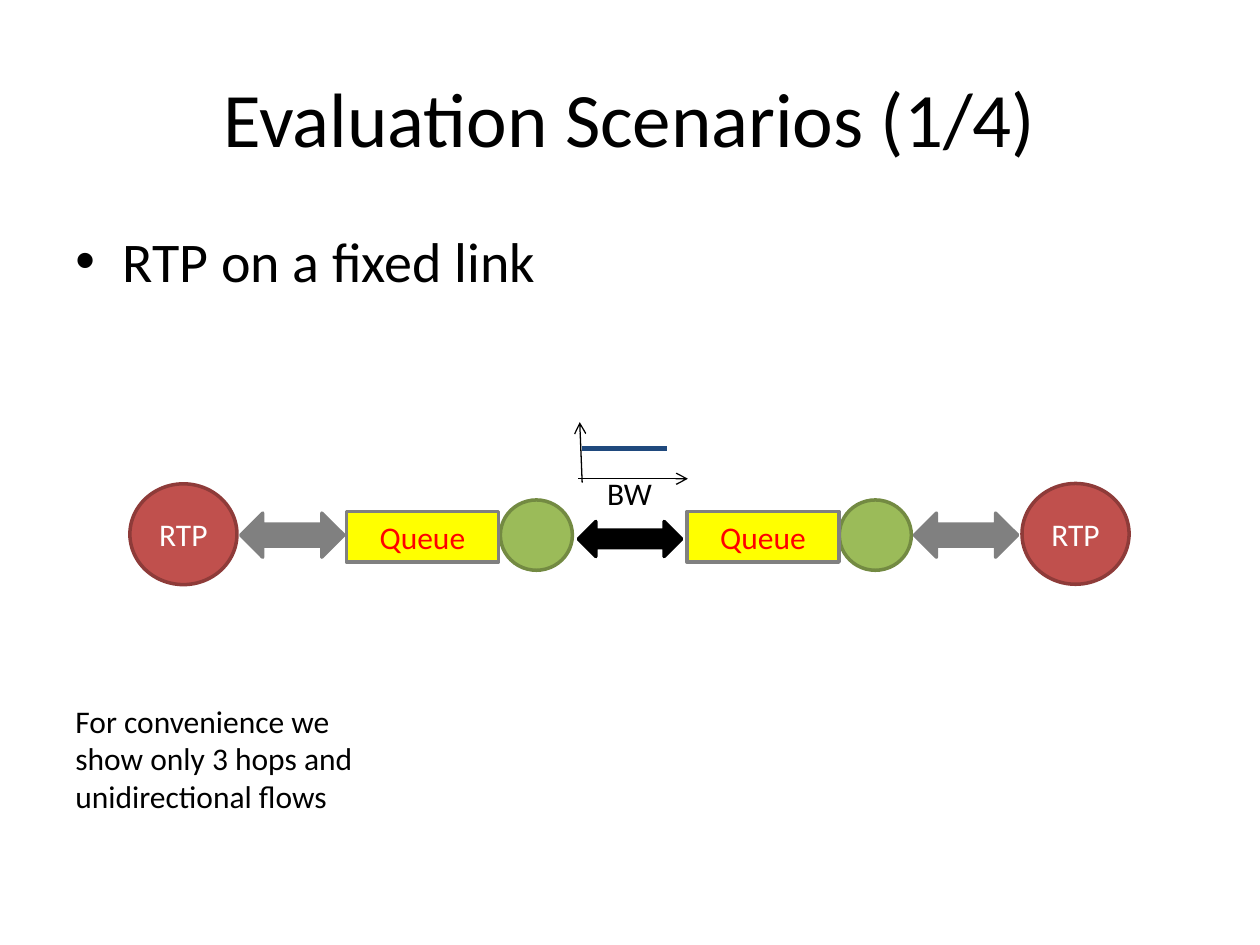
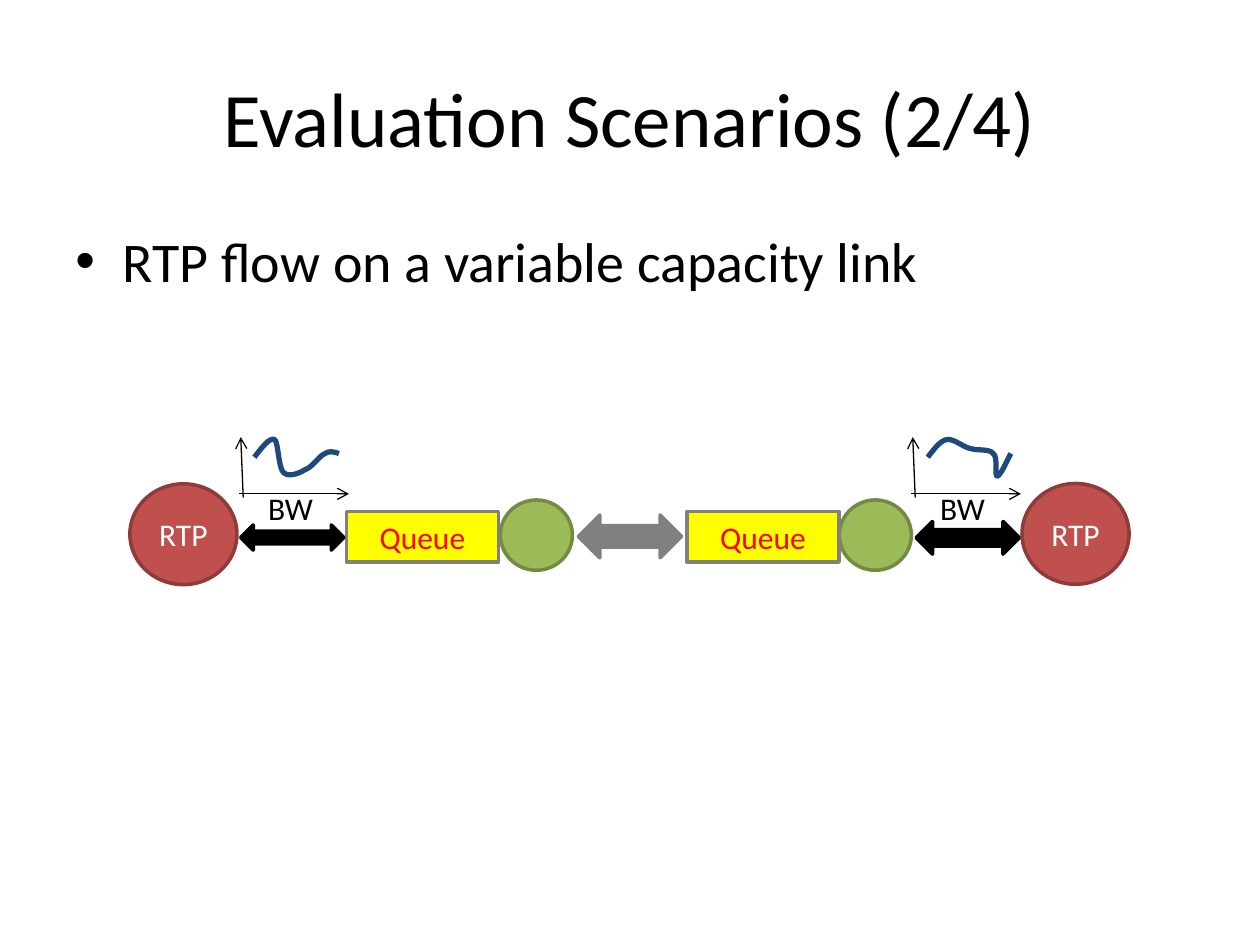
from dataclasses import dataclass

from lxml.etree import SubElement as Sub
from pptx import Presentation
from pptx.dml.color import RGBColor
from pptx.enum.shapes import MSO_CONNECTOR as Link, MSO_SHAPE as Kind
from pptx.enum.text import MSO_ANCHOR as Anchor, PP_ALIGN as Align
from pptx.oxml.ns import qn
from pptx.util import Pt

# Shared style
FONT = "Calibri"
BLACK, WHITE, GREY = "000000", "FFFFFF", "808080"
RED, BROWN, GREEN, OLIVE = "C0504D", "8E3B39", "9BBB59", "738A42"
YELLOW, ALERT, NAVY = "FFFF00", "FF0000", "1F497D"
STEPS = 10  # points drawn per curve segment

Point = tuple[float, float]


@dataclass
class Node:
    """A shape that appears at several places along the chain."""
    kind: Kind
    spots: list[Point]
    width: float
    height: float
    fill: str
    line: str
    label: str = ""
    ink: str = WHITE


@dataclass
class Arrow:
    left: float
    top: float
    height: float
    color: str


@dataclass
class Graph:
    """Bandwidth plot: its corner, and a trace relative to that corner.

    A trace is a start point followed by three points per Bezier segment;
    two points alone make a straight line.
    """
    left: float
    top: float
    trace: list[Point]


@dataclass
class Scene:
    title: str
    point: str
    arrows: list[Arrow]
    graphs: list[Graph]
    note: str = ""


NODES = [
    Node(Kind.OVAL, [(74.2, 276.5), (584, 276.3)], 61.2, 57.6, RED, BROWN, "RTP"),
    Node(Kind.OVAL, [(285.9, 285.7), (479.6, 285.7)], 41.2, 40.2, GREEN, OLIVE),
    Node(Kind.RECTANGLE, [(197.9, 292.4), (392.5, 292.4)], 87, 28.8,
         YELLOW, GREY, "Queue", ALERT),
]

FLAT = [(2, 15.2), (50.4, 15.2)]
DIP = [(8.6, 11.5), (13, 5.8), (17.3, 0), (20.2, 1.4),
       (22.3, 2.9), (22.3, 17.3), (25.2, 20.2),
       (28.1, 23), (33.8, 20.9), (37.4, 18.7),
       (41.8, 17.3), (45.4, 10.8), (49, 9.4),
       (51.8, 7.2), (56.9, 9.4), (56.9, 9.4)]
DROP = [(9.4, 11.5), (13.7, 5.8), (16.6, 2.2), (20.2, 1.4),
        (24.5, 0.7), (29.5, 5.8), (33.8, 6.5),
        (38.2, 7.9), (44.6, 6.5), (46.8, 9.4),
        (49.7, 11.5), (47.5, 22.3), (49, 22.3),
        (51.1, 22.3), (55.4, 11.5), (56.9, 9.4)]

SCENES = [
    Scene("Evaluation Scenarios (1/4)", "RTP on a fixed link",
          [Arrow(330.5, 298, 20, BLACK), Arrow(137.5, 293.2, 25.2, GREY),
           Arrow(522.5, 293.2, 25.2, GREY)],
          [Graph(330.5, 241.2, FLAT)],
          "For convenience we show only 3 hops and unidirectional flows"),
    Scene("Evaluation Scenarios (2/4)", "RTP flow on a variable capacity link",
          [Arrow(330.5, 294.3, 24.5, GREY), Arrow(137.5, 300, 14.4, BLACK),
           Arrow(523.5, 298, 18.7, BLACK)],
          [Graph(136.8, 249.8, DIP), Graph(520.8, 249.8, DROP)]),
]


def tint(code: str) -> RGBColor:
    return RGBColor.from_string(code)


def write(shape, text: str, *, size: float = 18, color: str = BLACK,
          align=Align.LEFT, anchor=Anchor.TOP, wrap: bool = True,
          bullet: bool = False) -> None:
    frame = shape.text_frame
    frame.word_wrap = wrap
    frame.vertical_anchor = anchor
    para = frame.paragraphs[0]
    para.alignment = align
    run = para.add_run()
    run.text = text
    run.font.name = FONT
    run.font.size = Pt(size)
    run.font.color.rgb = tint(color)
    if bullet:
        para.space_before = Pt(size * 0.2)
        props = para._p.get_or_add_pPr()
        props.set("marL", str(Pt(27)))
        props.set("indent", str(Pt(-27)))
        Sub(props, qn("a:buFont"), typeface="Arial")
        Sub(props, qn("a:buChar"), char="•")


def label(slide, text: str, left: float, top: float, width: float,
          height: float, **style) -> None:
    box = slide.shapes.add_textbox(Pt(left), Pt(top), Pt(width), Pt(height))
    write(box, text, **style)


def block(slide, kind: Kind, left: float, top: float, width: float,
          height: float, fill: str, line: str):
    shape = slide.shapes.add_shape(kind, Pt(left), Pt(top), Pt(width), Pt(height))
    shape.shadow.inherit = False
    shape.fill.solid()
    shape.fill.fore_color.rgb = tint(fill)
    shape.line.color.rgb = tint(line)
    shape.line.width = Pt(2)
    return shape


def stroke(slide, start: Point, end: Point, color: str, width: float,
           head: bool = False) -> None:
    link = slide.shapes.add_connector(
        Link.STRAIGHT, *(Pt(v) for v in (*start, *end)))
    link.line.color.rgb = tint(color)
    link.line.width = Pt(width)
    props = link.element.spPr
    if head:
        Sub(props.get_or_add_ln(), qn("a:tailEnd"), type="arrow")
    Sub(props, qn("a:effectLst"))


def bend(spots: list[Point]) -> list[Point]:
    """Points along a chain of cubic Bezier segments."""
    out = [spots[0]]
    for i in range(0, len(spots) - 1, 3):
        quad = spots[i:i + 4]
        for step in range(1, STEPS + 1):
            t = step / STEPS
            u = 1 - t
            mix = (u ** 3, 3 * u * u * t, 3 * u * t * t, t ** 3)
            out.append((sum(m * p[0] for m, p in zip(mix, quad)),
                        sum(m * p[1] for m, p in zip(mix, quad))))
    return out


def curve(slide, spots: list[Point]) -> None:
    first, *rest = [(Pt(x), Pt(y)) for x, y in bend(spots)]
    pen = slide.shapes.build_freeform(*first)
    pen.add_line_segments(rest, close=False)
    shape = pen.convert_to_shape()
    shape.shadow.inherit = False
    shape.fill.background()
    shape.line.color.rgb = tint(NAVY)
    shape.line.width = Pt(3)


def plot(slide, graph: Graph) -> None:
    def place(x: float, y: float) -> Point:
        return graph.left + x, graph.top + y

    stroke(slide, place(2.2, 34.6), place(0.8, 0), BLACK, 0.75, head=True)
    stroke(slide, place(0, 32.4), place(62.6, 32.4), BLACK, 0.75, head=True)
    spots = [place(*spot) for spot in graph.trace]
    if len(spots) == 2:
        stroke(slide, *spots, NAVY, 3)
    else:
        curve(slide, spots)
    label(slide, "BW", *place(9.4, 26.2), 41, 29, wrap=False)


def draw(slide, scene: Scene) -> None:
    # Heading and bullet
    label(slide, scene.title, 36, 21.6, 648, 90, size=44,
          align=Align.CENTER, anchor=Anchor.MIDDLE)
    label(slide, scene.point, 36, 126, 648, 356.4, size=32, bullet=True)
    # Chain of nodes
    for node in NODES:
        for left, top in node.spots:
            shape = block(slide, node.kind, left, top, node.width, node.height,
                          node.fill, node.line)
            if node.label:
                write(shape, node.label, color=node.ink, align=Align.CENTER,
                      anchor=Anchor.MIDDLE)
    # Links between nodes
    for arrow in scene.arrows:
        block(slide, Kind.LEFT_RIGHT_ARROW, arrow.left, arrow.top, 59,
              arrow.height, arrow.color, arrow.color)
    # Bandwidth plots and note
    for graph in scene.graphs:
        plot(slide, graph)
    if scene.note:
        label(slide, scene.note, 36, 397.4, 193.7, 72.7)


deck = Presentation()
deck.slide_width, deck.slide_height = Pt(720), Pt(540)
for scene in SCENES:
    draw(deck.slides.add_slide(deck.slide_layouts[6]), scene)
deck.save("out.pptx")
